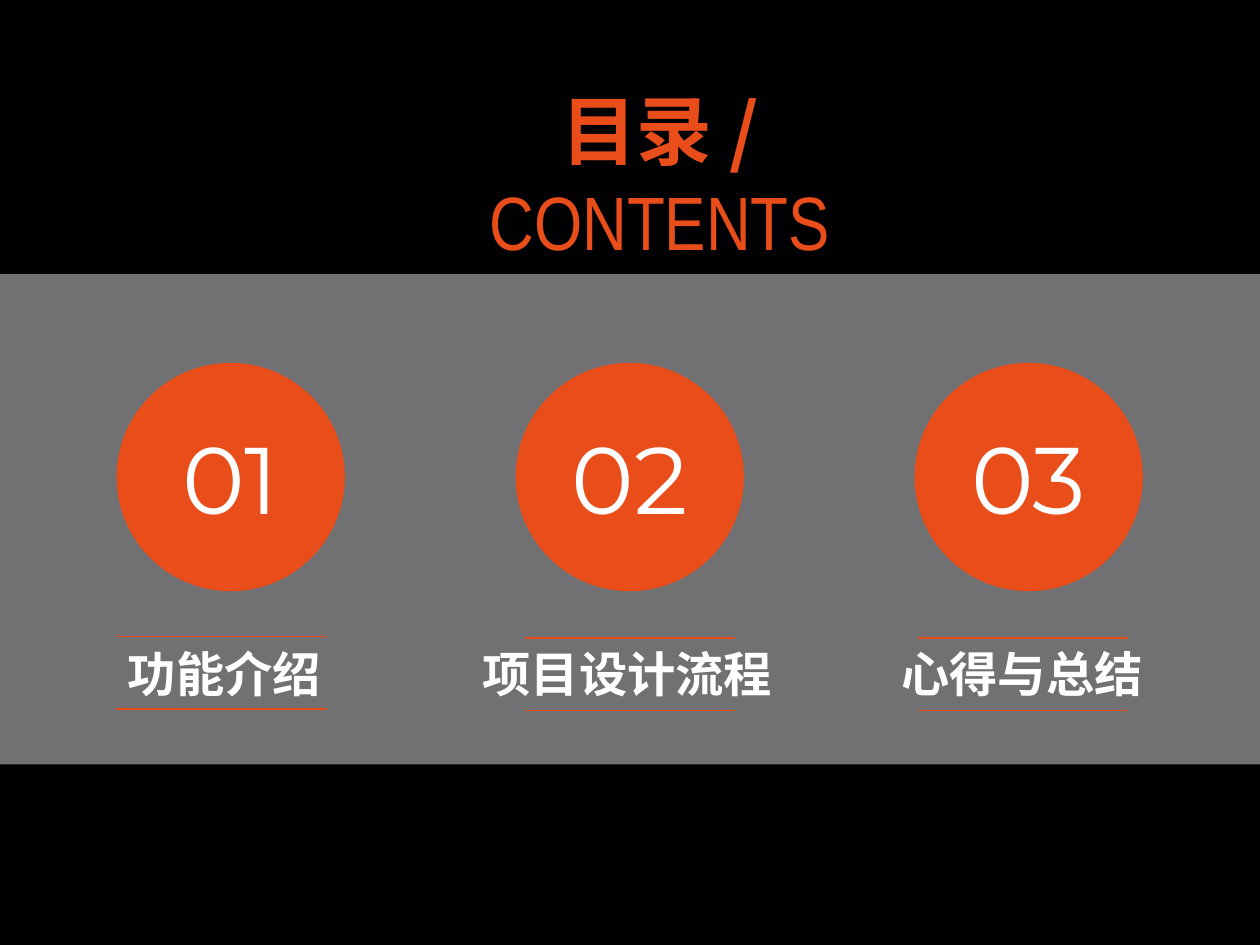
from pptx import Presentation
from pptx.dml.color import RGBColor
from pptx.enum.shapes import MSO_CONNECTOR, MSO_SHAPE
from pptx.enum.text import MSO_ANCHOR, MSO_AUTO_SIZE, PP_ALIGN
from pptx.oxml.ns import qn
from pptx.util import Pt
from lxml import etree

RECTANGLE = MSO_SHAPE.RECTANGLE
OVAL = MSO_SHAPE.OVAL
STRAIGHT = MSO_CONNECTOR.STRAIGHT
MIDDLE = MSO_ANCHOR.MIDDLE
CENTER = PP_ALIGN.CENTER
GROW = MSO_AUTO_SIZE.SHAPE_TO_FIT_TEXT

BLACK, GREY, ORANGE, WHITE = "010103", "E1E0E2", "E94D1A", "FFFFFF"
CHINESE, LATIN, NUMERAL = "Noto Sans CJK SC", "Arial Narrow", "Montserrat"

CIRCLE_LEFT, CIRCLE_TOP, CIRCLE_SIZE, CIRCLE_STEP = 55.5, 172.8, 108.7, 190
LABEL_TOP, LABEL_HEIGHT = 303.1, 35.3
RULE_LENGTH, RULE_GAP = 100, 34.6

# Label, label left, label width, rule left, upper rule top
CHAPTERS = [
    ("功能介绍", 52.6, 108.7, 55.5, 303.1),
    ("项目设计流程", 221.8, 154.1, 249.8, 303.8),
    ("心得与总结", 420.5, 132.5, 437, 303.8),
]


def color(hex_value):
    """Turn a hex string into a colour."""
    return RGBColor.from_string(hex_value)


def add_run(paragraph, text, size, font, hex_value, bold=False):
    """Add one formatted run, its font also set for Chinese text."""
    run = paragraph.add_run()
    run.text = text
    run.font.size = Pt(size)
    run.font.name = font
    run.font.bold = bold
    run.font.color.rgb = color(hex_value)
    east_asian = etree.SubElement(run.font._element, qn("a:ea"))
    east_asian.set("typeface", font)


def add_plain_shape(slide, kind, left, top, width, height, fill=None, opacity=100):
    """Add a shape without outline or shadow, filled if a colour is given."""
    shape = slide.shapes.add_shape(kind, Pt(left), Pt(top), Pt(width), Pt(height))
    shape.shadow.inherit = False
    shape.line.fill.background()
    if fill is None:
        shape.fill.background()
        return shape
    shape.fill.solid()
    shape.fill.fore_color.rgb = color(fill)
    if opacity < 100:
        fill_color = shape.fill._xPr.find(qn("a:solidFill"))[0]
        alpha = etree.SubElement(fill_color, qn("a:alpha"))
        alpha.set("val", str(opacity * 1000))
    return shape


def centered_paragraph(shape):
    """Return the first paragraph of a shape, centred both ways."""
    shape.text_frame.vertical_anchor = MIDDLE
    paragraph = shape.text_frame.paragraphs[0]
    paragraph.alignment = CENTER
    return paragraph


def add_title(slide):
    """Add the two-language title, which wraps inside an unfilled oval."""
    oval = add_plain_shape(slide, OVAL, 118.1, 28.8, 392.4, 108.7)
    paragraph = centered_paragraph(oval)
    add_run(paragraph, "目录 / ", 36, CHINESE, ORANGE, bold=True)
    add_run(paragraph, "CONTENTS", 36, LATIN, ORANGE)


def add_number_circle(slide, index):
    """Add the numbered circle of a chapter."""
    left = CIRCLE_LEFT + index * CIRCLE_STEP
    circle = add_plain_shape(
        slide, OVAL, left, CIRCLE_TOP, CIRCLE_SIZE, CIRCLE_SIZE, ORANGE)
    add_run(centered_paragraph(circle), f"{index + 1:02d}", 45, NUMERAL, WHITE)


def add_label(slide, text, left, width):
    """Add the name of a chapter on one line."""
    box = slide.shapes.add_textbox(
        Pt(left), Pt(LABEL_TOP), Pt(width), Pt(LABEL_HEIGHT))
    box.text_frame.word_wrap = False
    box.text_frame.auto_size = GROW
    paragraph = box.text_frame.paragraphs[0]
    paragraph.alignment = CENTER
    add_run(paragraph, text, 23, CHINESE, WHITE, bold=True)


def add_rule(slide, left, top):
    """Add a thin horizontal line without shadow."""
    rule = slide.shapes.add_connector(
        STRAIGHT, Pt(left), Pt(top), Pt(left + RULE_LENGTH), Pt(top))
    rule.line.color.rgb = color(ORANGE)
    rule.line.width = Pt(0.75)
    etree.SubElement(rule._element.spPr, qn("a:effectLst"))


def main():
    """Build the contents slide and save it."""
    presentation = Presentation()
    presentation.slide_width = Pt(600)
    presentation.slide_height = Pt(450)
    slide = presentation.slides.add_slide(presentation.slide_layouts[6])
    slide.background.fill.solid()
    slide.background.fill.fore_color.rgb = color(BLACK)

    add_plain_shape(slide, RECTANGLE, 0, 130.5, 600, 233.5, GREY, opacity=50)
    for index, (text, left, width, rule_left, rule_top) in enumerate(CHAPTERS):
        add_number_circle(slide, index)
        add_label(slide, text, left, width)
        for top in (rule_top, rule_top + RULE_GAP):
            add_rule(slide, rule_left, top)
    add_title(slide)
    presentation.save("out.pptx")


main()
